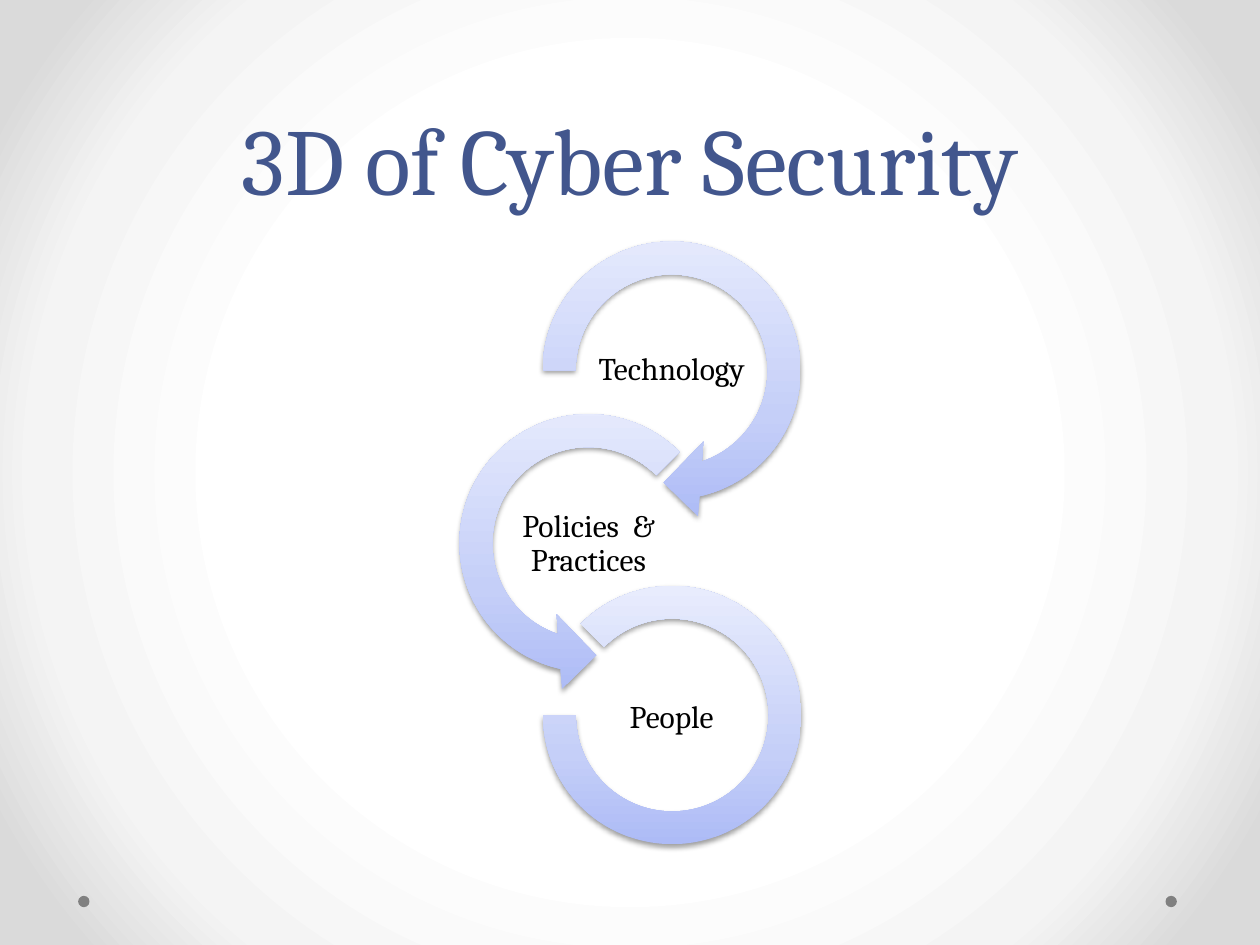
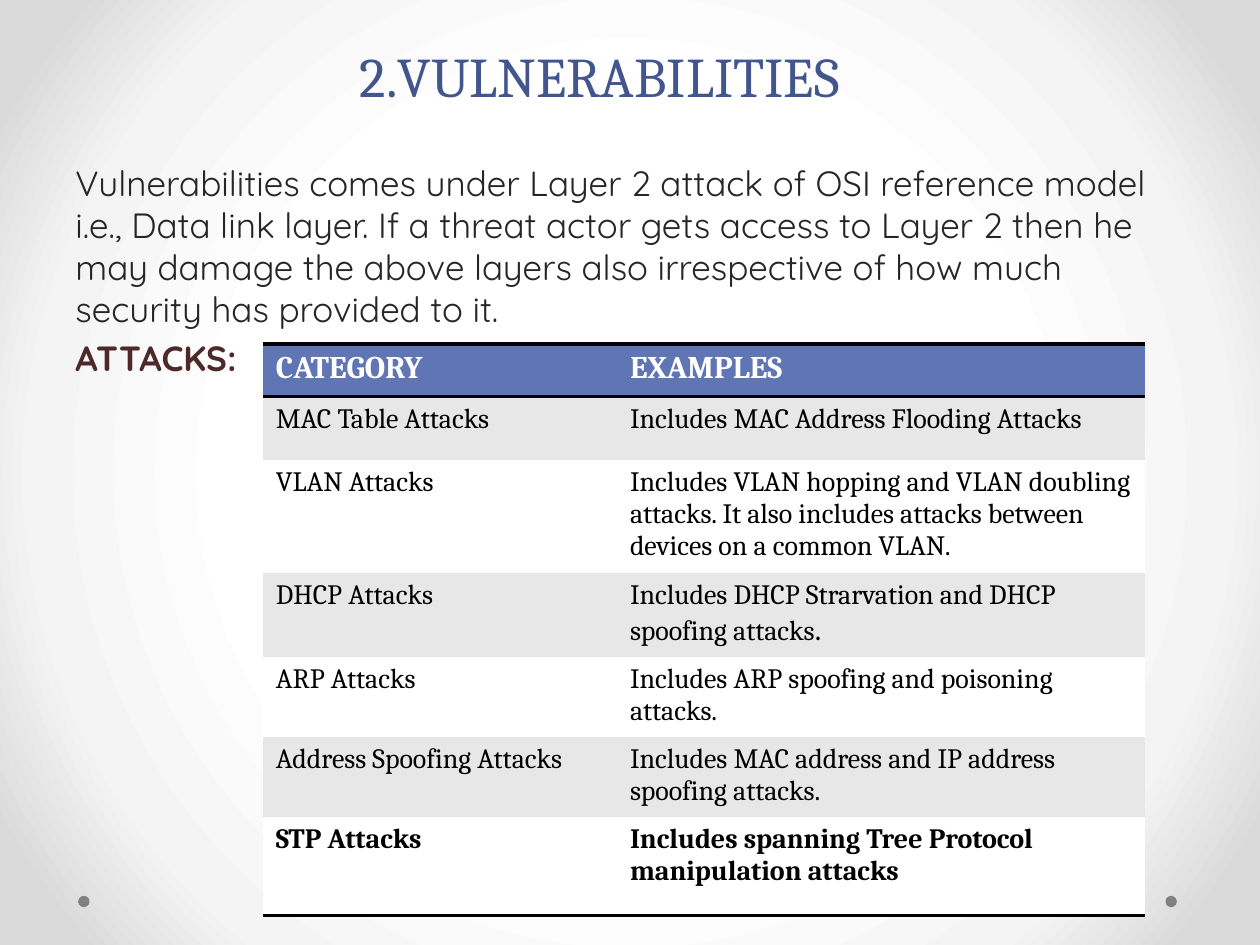
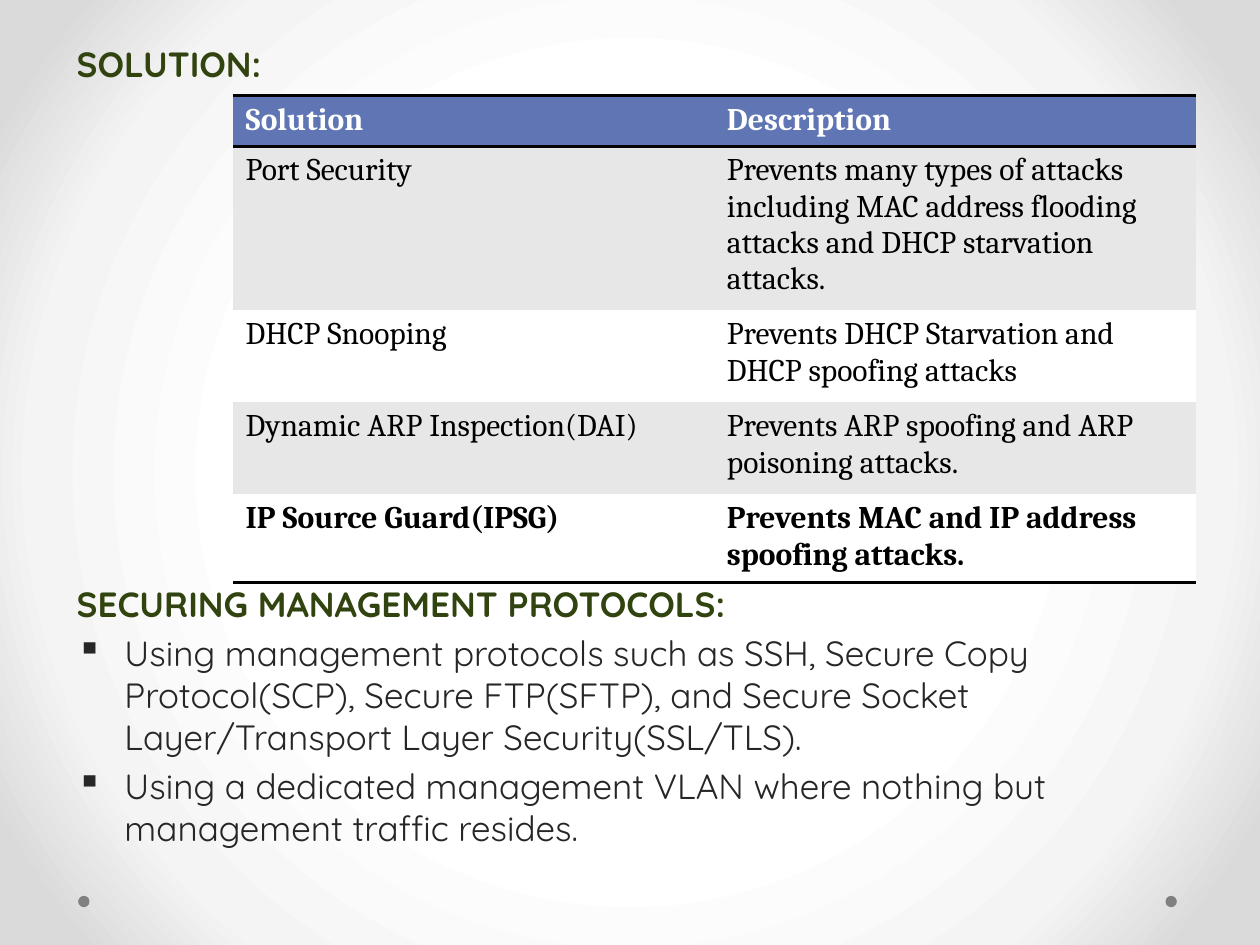
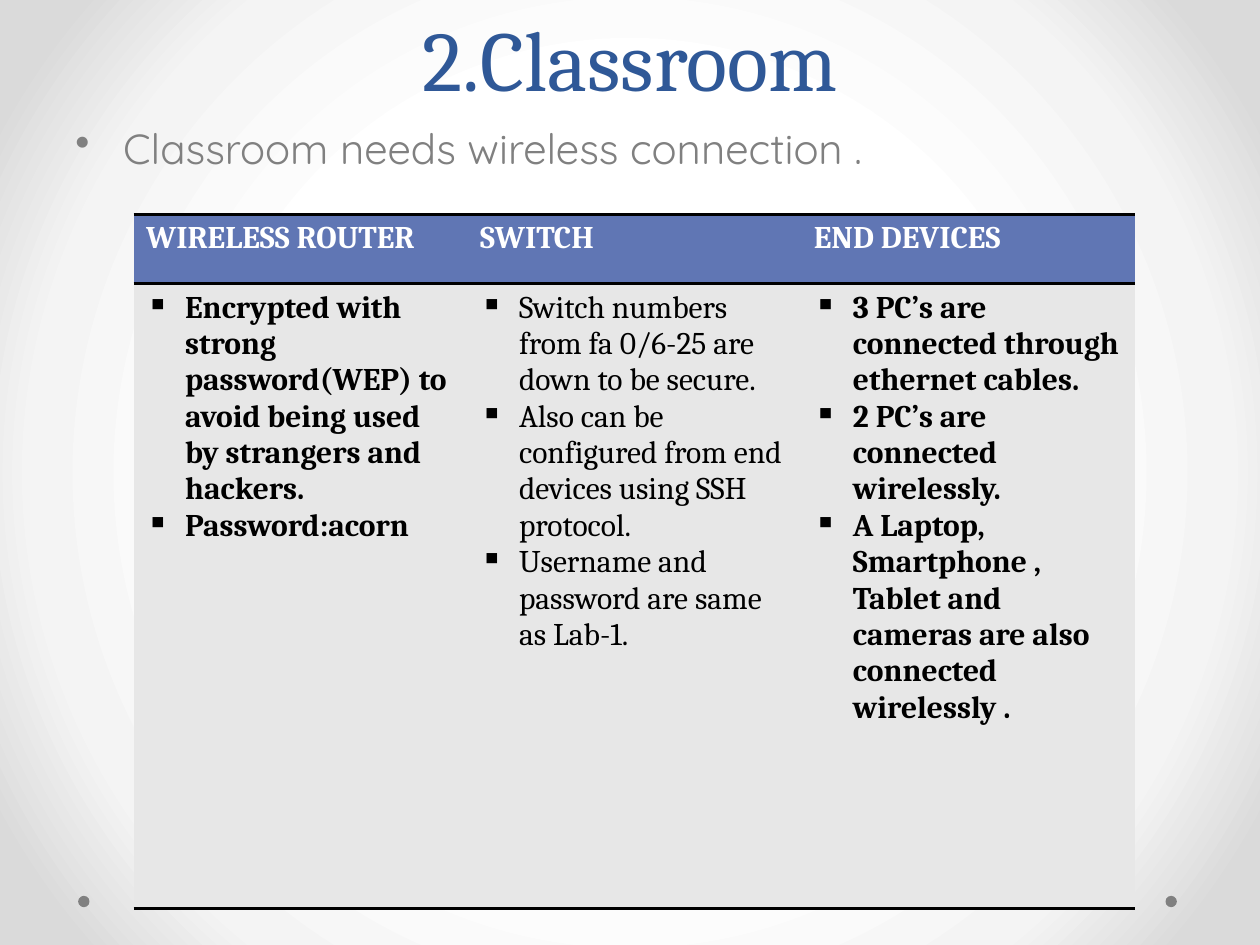
from dataclasses import dataclass
from lxml.etree import SubElement
from pptx import Presentation
from pptx.dml.color import RGBColor
from pptx.enum.shapes import MSO_SHAPE
from pptx.enum.text import MSO_ANCHOR, PP_ALIGN
from pptx.oxml.ns import qn
from pptx.util import Inches, Pt


@dataclass(frozen=True)
class Theme:
    serif: str = "Cambria"
    sans: str = "Quicksand"
    title: str = "42568D"
    blue: str = "2F5897"
    head: str = "6076B4"
    band: str = "E7E7E7"
    white: str = "FFFFFF"
    black: str = "000000"
    ink: str = "262626"
    gray: str = "808080"
    red: str = "4E2929"
    green: str = "314410"
    back: tuple = ((50, "FFFFFF"), (76, "F4F4F4"), (92, "DADADA"))
    ring: tuple = ((0, "ADBBF6"), (35, "C5CFF8"), (100, "E8ECFD"))
    huge: float = 54
    large: float = 48.6
    mid: float = 32
    lead: float = 24
    body: float = 20
    cell: float = 18
    small: float = 16


T = Theme()
NO_GRID = "{2D5ABB26-0587-4C30-8999-92F81FD0307C}"
BODY = dict(size=T.body, font=T.sans, color=T.ink, before=4)
RED = BODY | dict(color=T.red, bold=True)
GREEN = BODY | dict(color=T.green, bold=True)
POINT = BODY | dict(bullet="▪", indent=0.38)
LEAD = BODY | dict(size=T.lead, color=T.gray, bullet="•", indent=0.38)
LABEL = dict(size=T.cell, align=PP_ALIGN.CENTER, line=0.9)


def node(host, tag, **attrs):
    return SubElement(host, qn("a:" + tag), {k: str(v) for k, v in attrs.items()})


def apply(target, **values):
    for name, value in values.items():
        setattr(target, name, value)


def blend(host, stops):
    grad = host.find(qn("a:gradFill"))
    for child in list(grad):
        grad.remove(child)
    group = node(grad, "gsLst")
    for pos, color in stops:
        node(node(group, "gs", pos=pos * 1000), "srgbClr", val=color)
    return grad


class Deck:
    def __init__(self):
        self.show = Presentation()
        apply(self.show, slide_width=Inches(10), slide_height=Inches(7.5))
        self.slide = None
        master = self.show.slide_master
        master.background.fill.gradient()
        grad = blend(master._element.find(".//" + qn("p:bgPr")), T.back)
        node(node(grad, "path", path="circle"), "fillToRect",
             l=50000, t=50000, r=50000, b=50000)

    def page(self):
        self.slide = self.show.slides.add_slide(self.show.slide_layouts[6])
        for left in (9.25, 0.62):
            dot = self.shape(MSO_SHAPE.OVAL, (left, 7.11, 0.09, 0.09))
            dot.fill.solid()
            dot.fill.fore_color.rgb = RGBColor.from_string(T.gray)

    def shape(self, kind, at):
        shape = self.slide.shapes.add_shape(kind, *map(Inches, at))
        shape.shadow.inherit = False
        shape.line.fill.background()
        return shape

    def arc(self, kind, at, turns):
        shape = self.shape(kind, at)
        for i, turn in enumerate(turns):
            shape.adjustments[i] = turn
        shape.fill.gradient()
        props = shape._element.spPr
        node(blend(props, T.ring), "lin", ang=270 * 60000, scaled=0)
        shade = node(props.find(qn("a:effectLst")), "outerShdw", blurRad=Pt(3.1),
                     dist=Pt(1.6), dir=90 * 60000, rotWithShape=0)
        node(node(shade, "srgbClr", val=T.black), "alpha", val=38000)

    def run(self, para, text, size, font=T.serif, color=T.black, bold=False):
        run = para.add_run()
        run.text = text
        apply(run.font, size=Pt(size), name=font, bold=bold)
        run.font.color.rgb = RGBColor.from_string(color)

    def lay(self, frame, items):
        for i, (text, style) in enumerate(items):
            para = frame.add_paragraph() if i else frame.paragraphs[0]
            self.para(para, text, **style)

    def para(self, para, text, align=PP_ALIGN.LEFT, line=None, before=0,
             bullet=None, indent=0, **font):
        apply(para, alignment=align, line_spacing=line, space_before=Pt(before))
        if bullet:
            props = para._p.get_or_add_pPr()
            props.set("marL", str(Inches(indent)))
            props.set("indent", str(-Inches(indent)))
            node(props, "buChar", char=bullet)
        self.run(para, text, **font)

    def text(self, at, items, anchor=MSO_ANCHOR.TOP, inset=None):
        frame = self.slide.shapes.add_textbox(*map(Inches, at)).text_frame
        apply(frame, word_wrap=True, vertical_anchor=anchor)
        if inset is not None:
            sides = ("left", "top", "right", "bottom")
            apply(frame, **{"margin_" + side: Inches(inset) for side in sides})
        self.lay(frame, items)

    def title(self, at, text, size, color=T.title):
        style = dict(size=size, color=color, align=PP_ALIGN.CENTER, line=Pt(58))
        self.text(at, [(text, style)], MSO_ANCHOR.BOTTOM)

    def table(self, at, cols, rows, data, strong, size=T.cell, **extra):
        spot = (*at, sum(cols), sum(rows))
        grid = self.slide.shapes.add_table(
            len(rows), len(cols), *map(Inches, spot)).table
        apply(grid, first_row=False, horz_banding=False)
        grid._tbl.tblPr.find(qn("a:tableStyleId")).text = NO_GRID
        for col, width in zip(grid.columns, cols):
            col.width = Inches(width)
        for row, height in zip(grid.rows, rows):
            row.height = Inches(height)
        for r, line in enumerate(data):
            for c, entry in enumerate(line):
                cell = grid.cell(r, c)
                if r == 0:
                    style = dict(size=T.cell, color=T.white, bold=True)
                    fill = T.head
                else:
                    style = dict(size=size, bold=strong(r, c)) | extra
                    fill = T.band if r % 2 else T.white
                lines = [entry] if isinstance(entry, str) else entry
                self.lay(cell.text_frame, [(text, style) for text in lines])
                cell.fill.solid()
                cell.fill.fore_color.rgb = RGBColor.from_string(fill)
                edges = ("lnT", "lnB") if r == 0 else ("lnB",)
                if r in (0, len(rows) - 1):
                    self.rule(cell, edges)
        return grid

    def rule(self, cell, edges):
        props = cell._tc.get_or_add_tcPr()
        for i, edge in enumerate(edges):
            line = node(props, edge, w=Pt(2))
            node(node(line, "solidFill"), "srgbClr", val=T.black)
            props.insert(i, line)


def rings(deck):
    deck.page()
    deck.title((0.5, 0, 9, 1.75), "3D of Cyber Security", T.huge)
    parts = (
        (MSO_SHAPE.CIRCULAR_ARROW, (4.14, 1.75, 2.38, 2.38),
         (0.11, 11.42, 45, 108, 0.125), (4.67, 2.61), "Technology"),
        (MSO_SHAPE.LEFT_CIRCULAR_ARROW, (3.48, 3.12, 2.38, 2.38),
         (0.11, 11.42, 63, 189, 0.125), (4.01, 3.99), "Policies  & Practices"),
        (MSO_SHAPE.BLOCK_ARC, (4.31, 4.65, 2.05, 2.05),
         (135, 108, 0.127), (4.67, 5.37), "People"),
    )
    for kind, at, turns, spot, label in parts:
        deck.arc(kind, at, turns)
        deck.text((*spot, 1.32, 0.66), [(label, LABEL)], MSO_ANCHOR.MIDDLE, 0.01)


def threats(deck):
    deck.page()
    deck.title((0.5, 0.3, 8.52, 0.61), "2.VULNERABILITIES", T.mid)
    deck.text((0.5, 1.23, 8.91, 5.98), [
        ("Vulnerabilities comes under Layer 2 attack of OSI reference model i.e., "
         "Data link layer. If a threat actor gets access to Layer 2 then he may "
         "damage the above layers also irrespective of how much security has "
         "provided to it.", BODY),
        ("ATTACKS:", RED),
    ])
    data = (
        ("CATEGORY", "EXAMPLES"),
        ("MAC Table Attacks", "Includes MAC Address Flooding Attacks"),
        ("VLAN Attacks", "Includes VLAN hopping and VLAN doubling attacks. It also "
         "includes attacks between devices on a common VLAN."),
        ("DHCP Attacks", "Includes DHCP Strarvation and DHCP spoofing attacks"),
        ("ARP Attacks", "Includes ARP spoofing and poisoning attacks."),
        ("Address Spoofing Attacks",
         "Includes MAC address and IP address spoofing attacks."),
        ("STP Attacks", "Includes spanning Tree Protocol manipulation attacks"),
    )
    grid = deck.table((2.09, 2.73), (2.81, 4.19),
                      (0.42, 0.5, 0.83, 0.62, 0.5, 0.59, 0.78), data,
                      lambda r, c: r == 6, T.small)
    deck.run(grid.cell(3, 1).text_frame.paragraphs[0], ".", T.cell)


def fixes(deck):
    deck.page()
    deck.text((0.51, 0.29, 9.13, 0.45), [("SOLUTION:", GREEN)])
    deck.text((0.51, 4.57, 9.13, 2.4), [
        ("SECURING MANAGEMENT PROTOCOLS:", GREEN),
        ("Using management protocols such as SSH, Secure Copy Protocol(SCP), "
         "Secure FTP(SFTP), and Secure Socket Layer/Transport Layer "
         "Security(SSL/TLS).", POINT),
        ("Using a dedicated management VLAN where nothing but management "
         "traffic resides.", POINT),
    ])
    data = (
        ("Solution", "Description"),
        ("Port Security", "Prevents many types of attacks including MAC address "
         "flooding attacks and DHCP starvation attacks."),
        ("DHCP Snooping", "Prevents DHCP Starvation and DHCP spoofing attacks"),
        ("Dynamic ARP Inspection(DAI)",
         "Prevents ARP spoofing and ARP poisoning attacks."),
        ("IP Source Guard(IPSG)", "Prevents MAC and IP address spoofing attacks."),
    )
    deck.table((1.85, 0.76), (3.82, 3.82), (0.34, 1.16, 0.73, 0.73, 0.59), data,
               lambda r, c: r == 4)


def classroom(deck):
    deck.page()
    deck.title((0.5, 0.3, 9, 0.61), "2.Classroom", T.large, T.blue)
    deck.text((0.5, 0.92, 9, 6.38),
              [("Classroom needs wireless connection .", LEAD)])
    data = (
        ("WIRELESS ROUTER", "SWITCH", "END DEVICES"),
        (("Encrypted with strong password(WEP) to avoid being used by strangers "
          "and hackers.", "Password:acorn"),
         ("Switch numbers from fa 0/6-25 are down to be secure.",
          "Also can be configured from end devices using SSH protocol.",
          "Username and password are same as Lab-1."),
         ("3 PC’s are connected through ethernet cables.",
          "2 PC’s are connected wirelessly.",
          "A Laptop, Smartphone , Tablet and cameras are also connected "
          "wirelessly .")),
    )
    deck.table((1.06, 1.7), (2.65,) * 3, (0.55, 4.96), data,
               lambda r, c: c != 1, bullet="▪", indent=0.31)


def main():
    deck = Deck()
    for build in (rings, threats, fixes, classroom):
        build(deck)
    deck.show.save("out.pptx")


if __name__ == "__main__":
    main()
